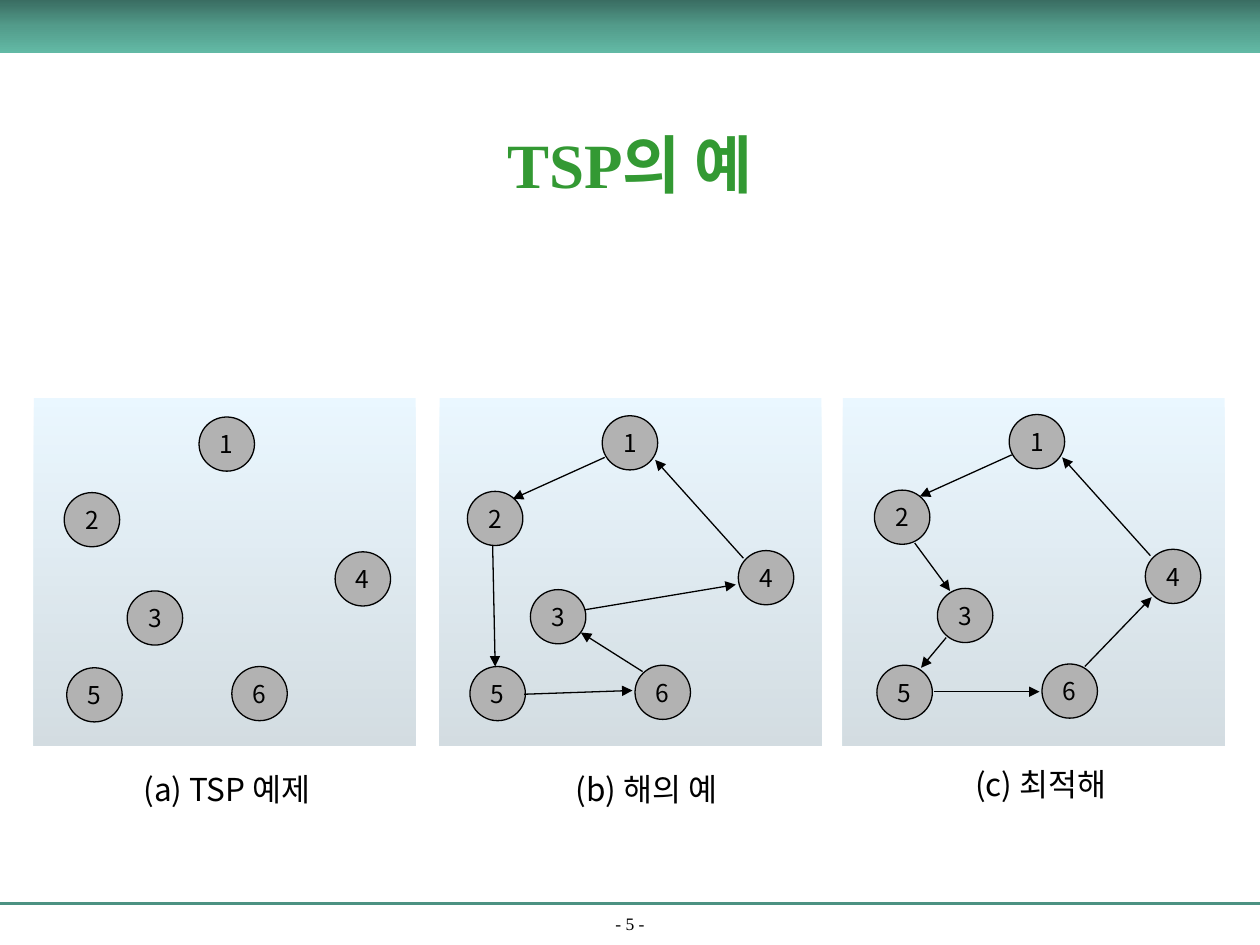
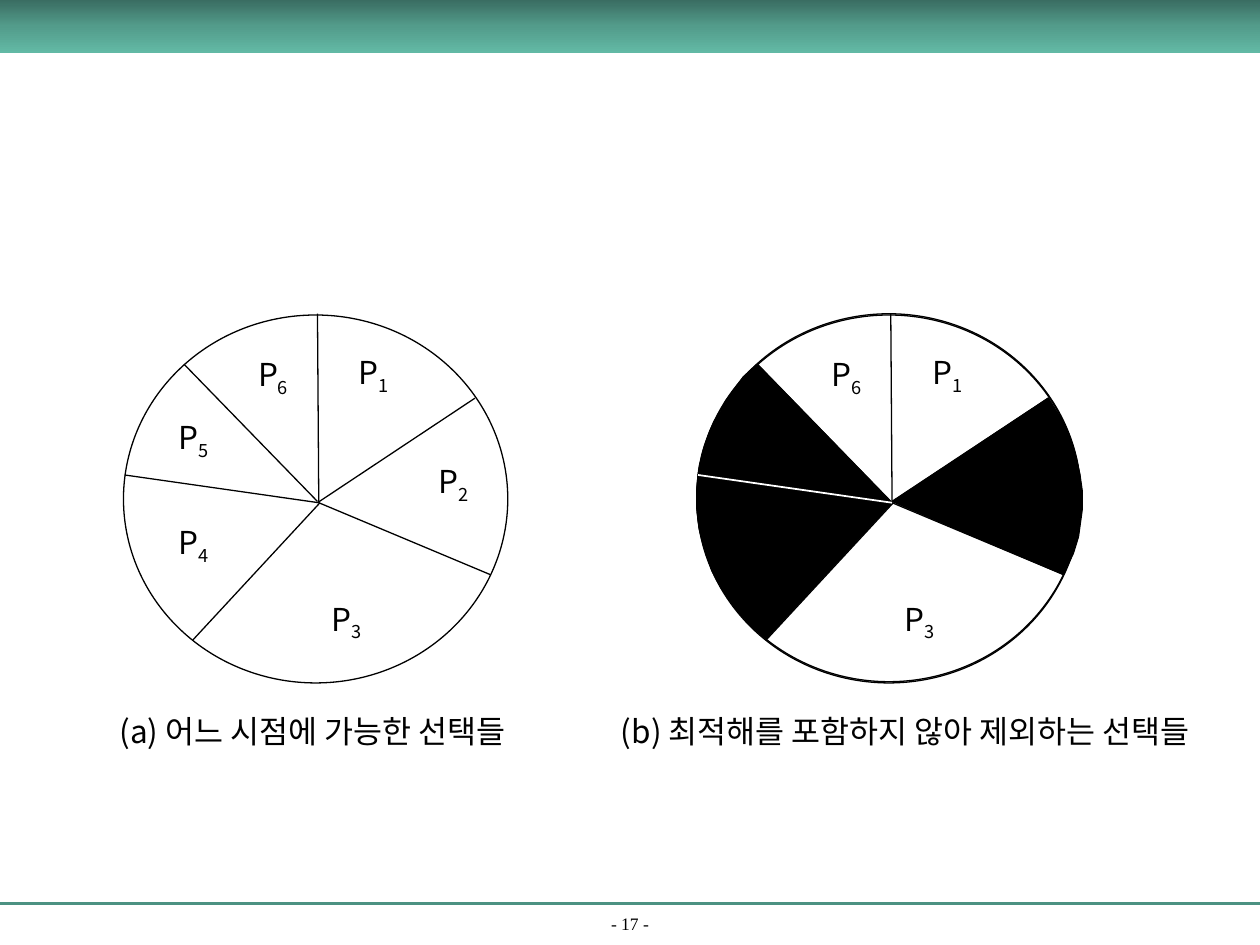
from lxml import etree
from pptx import Presentation
from pptx import util as u
from pptx.dml.color import RGBColor
from pptx.enum import shapes, text
from pptx.oxml import ns

PX = 9144
WIDE, HIGH = 1000, 750
SANS, SERIF = "Noto Sans CJK KR", "Times New Roman"
BLACK = RGBColor(0x00, 0x00, 0x00)
WHITE = RGBColor(0xFF, 0xFF, 0xFF)
GREEN = RGBColor(0x33, 0x99, 0x33)
TEAL = RGBColor(0x4C, 0x92, 0x82)
GREY = RGBColor(0xB2, 0xB2, 0xB2)
BAND = [(0, RGBColor(0x3A, 0x6D, 0x62)), (50, RGBColor(0x53, 0x9C, 0x8B)),
        (100, RGBColor(0x62, 0xB9, 0xA5))]
SKY = [(0, RGBColor(0xCC, 0xEC, 0xFF)), (100, RGBColor(0x92, 0xA9, 0xB6))]

HEAD = {"size": 36, "name": SERIF, "color": GREEN, "bold": True}
FOOT = {"size": 10, "name": SERIF, "color": BLACK}
NODE = {"size": 14, "name": SANS, "color": BLACK}
BODY = {"size": 18, "name": SANS, "color": BLACK}
MIDDLE = {"vertical_anchor": text.MSO_ANCHOR.MIDDLE, "word_wrap": True}
BOTTOM = {"vertical_anchor": text.MSO_ANCHOR.BOTTOM, "word_wrap": True}
TIGHT = {"vertical_anchor": text.MSO_ANCHOR.MIDDLE, "word_wrap": False}
LOOSE = {"word_wrap": False, "auto_size": text.MSO_AUTO_SIZE.SHAPE_TO_FIT_TEXT}

TITLE = "TSP의 예"
CITIES = {"1": (158, 331), "3": (101, 469), "6": (184, 529),
          "4": (266, 438), "2": (51, 391), "5": (53, 530)}
PANELS = [
    {"left": 27, "shift": (0, 0), "note": (104, 606, 166, "(a) TSP 예제"), "tour": []},
    {"left": 349, "shift": (320, -1), "note": (447, 606, 146, "(b) 해의 예"),
     "tour": [(480, 363, 407, 396), (391, 433, 393, 529), (416, 551, 502, 548),
              (510, 533, 461, 502), (464, 484, 584, 464), (590, 443, 520, 365)]},
    {"left": 669, "shift": (643, -2), "note": (764, 602, 136, "(c) 최적해"),
     "tour": [(803, 361, 730, 394), (726, 431, 754, 469), (751, 506, 731, 530),
              (741, 549, 825, 549), (861, 529, 914, 474), (913, 441, 843, 363)]},
]

SPOKES = [(253, 399, 252, 249), (252, 399, 377, 316), (253, 399, 389, 456),
          (254, 399, 153, 508), (253, 399, 99, 377), (252, 398, 146, 289)]
CUT = 4
PARTS = {"1": (275, 275), "2": (338, 362), "3": (253, 471),
         "4": (132, 410), "5": (132, 327), "6": (195, 277)}
PIES = [
    {"shift": 0, "parts": "123456", "note": (85, 560, 361, "(a) 어느 시점에 가능한 선택들")},
    {"shift": 455, "parts": "136",
     "note": (483, 560, 521, "(b) 최적해를 포함하지 않아 제외하는 선택들")},
]
WEDGES = [
    [(708, 398), (832, 316), (842, 332), (849, 347), (853, 361), (857, 376),
     (859, 390), (859, 404), (856, 426), (852, 439), (844, 456)],
    [(708, 399), (608, 507), (596, 496), (584, 483), (577, 473), (572, 466),
     (565, 453), (560, 437), (555, 420), (553, 403), (553, 389), (554, 377)],
    [(707, 398), (601, 289), (590, 299), (582, 310), (576, 318), (572, 327),
     (567, 334), (563, 343), (559, 354), (557, 361), (555, 370), (554, 377)],
]


def px(*nums):
    return [n * PX for n in nums]


def add(parent, tag, **attrs):
    node = etree.SubElement(parent, ns.qn(tag))
    for key, val in attrs.items():
        node.set(key, str(val))
    return node


def style(run, look):
    for key, val in look.items():
        if key == "color":
            run.font.color.rgb = val
        else:
            setattr(run.font, key, u.Pt(val) if key == "size" else val)
    add(run._r.get_or_add_rPr(), "a:ea", typeface=SANS)


def write(shape, words, look, frame, center=True, sub=""):
    for key, val in frame.items():
        setattr(shape.text_frame, key, val)
    para = shape.text_frame.paragraphs[0]
    para.alignment = text.PP_ALIGN.CENTER if center else text.PP_ALIGN.LEFT
    for part in filter(None, (words, sub)):
        run = para.add_run()
        run.text = part
        style(run, look)
    if sub:
        run._r.get_or_add_rPr().set("baseline", "-25000")


def label(slide, box, words, look, frame, **more):
    write(slide.shapes.add_textbox(*px(*box)), words, look, frame, **more)


def paint(shape, fill=None, line=None):
    shape.shadow.inherit = False
    if fill is None:
        shape.fill.background()
    else:
        shape.fill.solid()
        shape.fill.fore_color.rgb = fill
    if line is None:
        shape.line.fill.background()
    else:
        shape.line.color.rgb = line
        shape.line.width = u.Pt(0.75)


def shade(slide, box, stops, alpha=100):
    shape = slide.shapes.add_shape(shapes.MSO_SHAPE.RECTANGLE, *px(*box))
    paint(shape)
    shape.fill.gradient()
    shape.fill.gradient_angle = 270
    ramp = shape._element.spPr.find(".//" + ns.qn("a:gsLst"))
    for old in list(ramp):
        ramp.remove(old)
    for pos, color in stops:
        stop = add(ramp, "a:gs", pos=pos * 1000)
        tint = add(stop, "a:srgbClr", val=color)
        if alpha < 100:
            add(tint, "a:alpha", val=alpha * 1000)


def oval(slide, box, fill=None):
    shape = slide.shapes.add_shape(shapes.MSO_SHAPE.OVAL, *px(*box))
    paint(shape, fill, BLACK)
    return shape


def rule(slide, ends, color=BLACK, width=0.75, arrow=False):
    line = slide.shapes.add_connector(shapes.MSO_CONNECTOR.STRAIGHT, *px(*ends))
    line.line.color.rgb = color
    line.line.width = u.Pt(width)
    if arrow:
        add(line.line._get_or_add_ln(), "a:tailEnd", type="triangle")
    add(line._element.spPr, "a:effectLst")


def page(deck, num):
    slide = deck.slides.add_slide(deck.slide_layouts[6])
    rule(slide, (0, 717, WIDE, 717), TEAL, 1.5)
    label(slide, (0, 724, WIDE, 22), f"- {num} -", FOOT, BOTTOM)
    shade(slide, (0, 0, WIDE, 42), BAND)
    return slide


def note(slide, x, y, wide, words):
    label(slide, (x, y, wide, 40), words, BODY, LOOSE, center=False)


def tours(deck):
    slide = page(deck, 5)
    for panel in PANELS:
        shade(slide, (panel["left"], 316, 303, 276), SKY, 40)
        dx, dy = panel["shift"]
        for name, (x, y) in CITIES.items():
            city = oval(slide, (x + dx, y + dy, 44, 43), GREY)
            write(city, name, NODE, TIGHT)
        note(slide, *panel["note"])
        for ends in panel["tour"]:
            rule(slide, ends, arrow=True)
    label(slide, (75, 67, 850, 125), TITLE, HEAD, MIDDLE)


def choices(deck):
    slide = page(deck, 17)
    for pie in PIES:
        dx = pie["shift"]
        oval(slide, (98 + dx, 250, 305, 292))
        for x, y, end, low in SPOKES:
            rule(slide, (x + dx, y, end + dx, low))
        for name in pie["parts"]:
            x, y = PARTS[name]
            label(slide, (x + dx, y, 46, 40), "P", BODY, LOOSE, center=False, sub=name)
        note(slide, *pie["note"])
    for start, *rest in WEDGES:
        pen = slide.shapes.build_freeform(*start, scale=PX)
        pen.add_line_segments(rest, close=True)
        paint(pen.convert_to_shape(), BLACK, BLACK)
    oval(slide, (98 + dx, 249, 305, 292))
    x, y, end, low = SPOKES[CUT]
    rule(slide, (x + dx, y, end + dx, low), WHITE, 1)


def main():
    deck = Presentation()
    deck.slide_width, deck.slide_height = px(WIDE, HIGH)
    tours(deck)
    choices(deck)
    deck.save("out.pptx")


if __name__ == "__main__":
    main()
